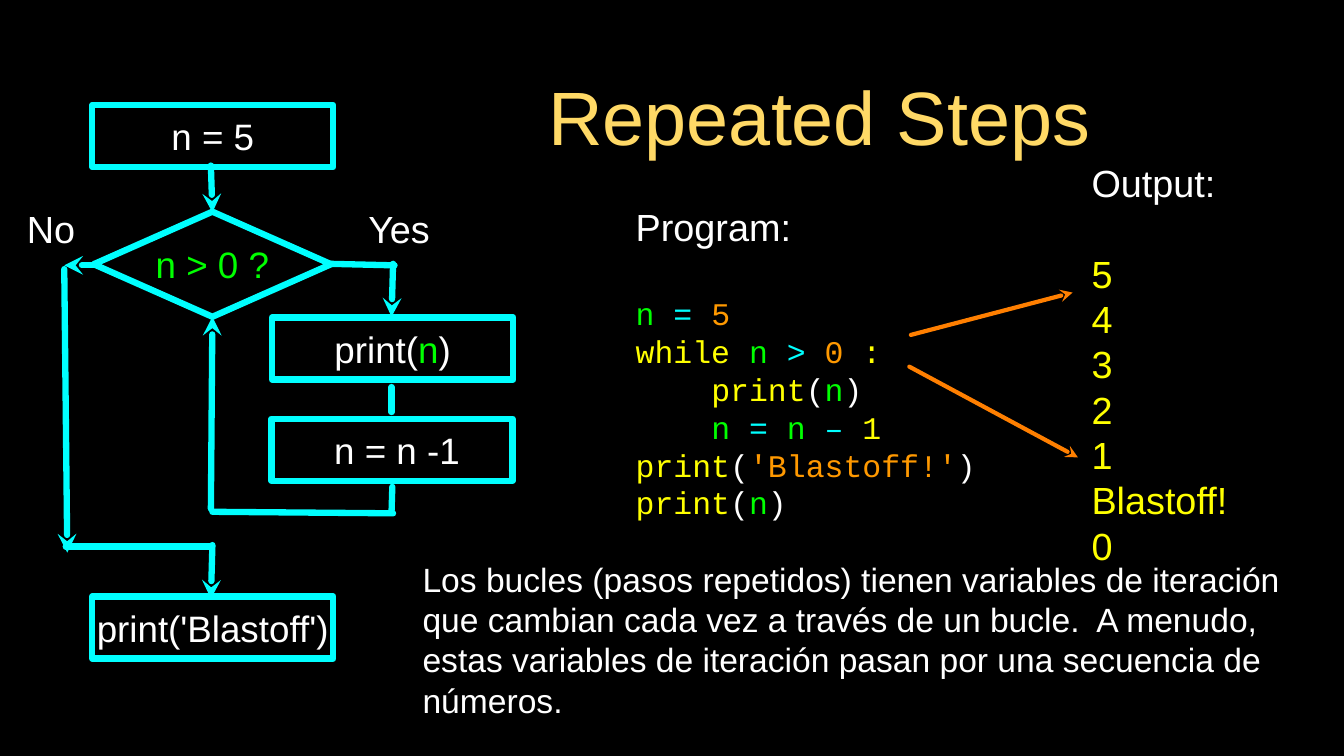
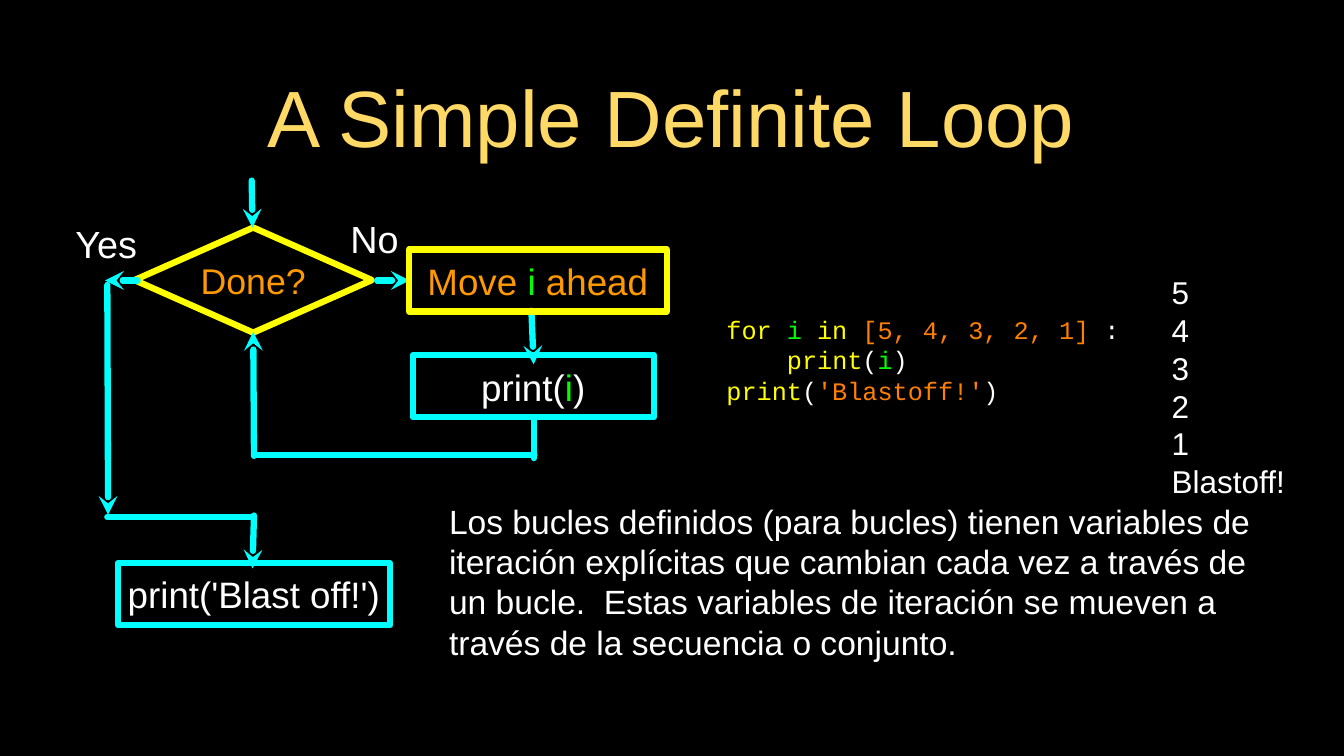
from dataclasses import dataclass

from lxml.etree import SubElement
from pptx import Presentation
from pptx.dml.color import RGBColor
from pptx.enum.shapes import MSO_CONNECTOR, MSO_SHAPE
from pptx.enum.text import MSO_ANCHOR, PP_ALIGN
from pptx.oxml.ns import qn
from pptx.util import Inches, Pt


@dataclass(frozen=True)
class Theme:
    """Colours, fonts and type sizes of the deck."""
    black: str = "000000"
    white: str = "FFFFFF"
    gold: str = "FFD966"
    cyan: str = "00FFFF"
    green: str = "00FF00"
    yellow: str = "FFFF00"
    amber: str = "FF9900"
    orange: str = "FF7F00"
    sans: str = "Arial"
    mono: str = "Courier New"
    label_size: int = 36
    node_size: int = 35
    body_size: int = 32
    leading: float = 1.2
    mono_advance: float = 0.6
    flow_width: int = 6
    pointer_width: int = 4


THEME = Theme()
NODE_WIDTH, NODE_HEIGHT = 3.19, 0.82
DIAMOND_WIDTH, DIAMOND_HEIGHT = 3.14, 1.39


class Painter:
    """Draws elements on the current page in the style of the theme."""

    def __init__(self, deck, theme):
        """Keep the deck and the theme."""
        self.deck, self.theme, self.page = deck, theme, None

    def new_page(self, title, left, width, size):
        """Start a black page with its gold title."""
        self.page = self.deck.slides.add_slide(self.deck.slide_layouts[6])
        fill = self.page.background.fill
        fill.solid()
        fill.fore_color.rgb = RGBColor.from_string(self.theme.black)
        self.text(left, 0.89, width, 1.28, [[(title, self.theme.gold)]], size,
                  centred=True)

    def set_lines(self, shape, lines, size, font=None, centred=False, spaced=False):
        """Fill a shape with lines, each a list of (text, colour) spans."""
        frame = shape.text_frame
        frame.margin_left = frame.margin_right = 0
        frame.margin_top = frame.margin_bottom = 0
        frame.vertical_anchor = MSO_ANCHOR.MIDDLE
        for index, line in enumerate(lines):
            para = frame.add_paragraph() if index else frame.paragraphs[0]
            para.alignment = PP_ALIGN.CENTER if centred else PP_ALIGN.LEFT
            if spaced:
                para.line_spacing = Pt(size * self.theme.leading)
            for words, colour in line:
                span = para.add_run()
                span.text = words
                span.font.size = Pt(size)
                span.font.name = font or self.theme.sans
                span.font.color.rgb = RGBColor.from_string(colour)
        return frame

    def text(self, left, top, width, height, lines, size, **style):
        """Add a wrapping text box and return its text frame."""
        box = self.page.shapes.add_textbox(
            Inches(left), Inches(top), Inches(width), Inches(height))
        box.text_frame.word_wrap = True
        return self.set_lines(box, lines, size, **style)

    def label(self, left, top, words, width):
        """Add a branch label such as Yes or No."""
        self.text(left, top, width, 0.68, [[(words, self.theme.white)]],
                  self.theme.label_size, centred=True)

    def body(self, left, top, width, words):
        """Add the explanation at the foot of the page."""
        frame = self.text(left, top, width, 2.25, [[(words, self.theme.white)]],
                          self.theme.body_size, spaced=True)
        frame.vertical_anchor = MSO_ANCHOR.TOP

    def code(self, left, top, width, height, lines, size, indented, heading=False):
        """Add a program listing; indented holds the numbers of inner lines."""
        frame = self.text(left, top, width, height, lines, size,
                          font=self.theme.mono, spaced=True)
        for number in indented:
            indent = Pt(4 * self.theme.mono_advance * size)
            properties = frame.paragraphs[number]._p.get_or_add_pPr()
            properties.set("marL", str(int(indent)))
            properties.set("indent", "0")
        if heading:
            self.head(frame.paragraphs[0])

    def head(self, para):
        """Style the first line of a list as a heading with a gap below."""
        size = self.theme.label_size
        para.line_spacing = para.space_after = Pt(size * self.theme.leading)
        for span in para.runs:
            span.font.size = Pt(size)
            span.font.name = self.theme.sans

    def outline(self, line, colour, width):
        """Give a line its colour, width and round ends."""
        line.color.rgb = RGBColor.from_string(colour)
        line.width = Pt(width)
        stroke = line._get_or_add_ln()
        stroke.set("cap", "rnd")
        SubElement(stroke, qn("a:round"))
        return stroke

    def node(self, left, top, spans, width=NODE_WIDTH, height=NODE_HEIGHT,
             kind=MSO_SHAPE.RECTANGLE, colour=None, size=None):
        """Add an outlined flowchart node."""
        shape = self.page.shapes.add_shape(
            kind, Inches(left), Inches(top), Inches(width), Inches(height))
        shape.shadow.inherit = False
        shape.fill.background()
        self.outline(shape.line, colour or self.theme.cyan, self.theme.flow_width)
        shape.text_frame.word_wrap = False
        self.set_lines(shape, [spans], size or self.theme.node_size, centred=True)

    def decision(self, left, top, spans, **style):
        """Add a decision diamond."""
        self.node(left, top, spans, DIAMOND_WIDTH, DIAMOND_HEIGHT,
                  MSO_SHAPE.DIAMOND, **style)

    def line(self, start, end, arrow=False, colour=None, width=None):
        """Join two points, with an arrowhead at the end if asked."""
        points = [Inches(value) for value in (*start, *end)]
        link = self.page.shapes.add_connector(MSO_CONNECTOR.STRAIGHT, *points)
        stroke = self.outline(link.line, colour or self.theme.cyan,
                              width or self.theme.flow_width)
        if arrow:
            SubElement(stroke, qn("a:tailEnd"), type="stealth")
        SubElement(link._element.spPr, qn("a:effectLst"))

    def flow(self, arrows, lines):
        """Draw the arrows and plain lines of a flowchart."""
        for start, end in arrows:
            self.line(start, end, arrow=True)
        for start, end in lines:
            self.line(start, end)


def call(argument, colour, name_colour=THEME.yellow):
    """Return the spans of a print call with a coloured argument."""
    return [("print", name_colour), ("(", THEME.white),
            (argument, colour), (")", THEME.white)]


def column(words, colour):
    """Return one single-span line for each word."""
    return [[(word, colour)] for word in words]


def repeated_steps(painter):
    """Build the page on the while loop."""
    theme = painter.theme
    painter.new_page("Repeated Steps", 5.18, 11.32, 72)
    variable = ("n ", theme.green)
    equals = ("= ", theme.cyan)
    painter.code(8.41, 2.37, 4.63, 4.85, [
        [("Program:", theme.white)],
        [variable, equals, ("5", theme.amber)],
        [("while ", theme.yellow), variable, ("> ", theme.cyan),
         ("0", theme.amber), (" :", theme.yellow)],
        call("n", theme.green),
        [variable, equals, variable, ("–", theme.cyan), (" 1", theme.yellow)],
        call("'Blastoff!'", theme.amber),
        call("n", theme.green),
    ], 30, indented=(3, 4), heading=True)
    output = painter.text(
        14.44, 2.19, 1.89, 5.24,
        [[("Output:", theme.white)]]
        + column(["5", "4", "3", "2", "1", "Blastoff!", "0"], theme.yellow),
        theme.label_size, spaced=True)
    painter.head(output.paragraphs[0])

    painter.flow(
        arrows=[((2.79, 2.19), (2.81, 2.81)),
                ((2.79, 6.73), (2.81, 4.19)),
                ((5.2, 3.49), (5.18, 4.19)),
                ((1.29, 3.51), (0.85, 3.51)),
                ((0.85, 3.56), (0.89, 7.31)),
                ((2.81, 7.21), (2.79, 7.92))],
        lines=[((4.37, 3.49), (5.22, 3.51)),
               ((5.18, 5.12), (5.18, 5.45)),
               ((5.19, 6.44), (5.18, 6.77)),
               ((2.81, 6.77), (5.2, 6.79)),
               ((0.87, 7.23), (2.79, 7.23))])
    for start, end in [((12.05, 4.43), (14.19, 3.87)),
                       ((12.03, 4.85), (14.26, 6.05))]:
        painter.line(start, end, True, theme.orange, theme.pointer_width)

    painter.node(1.22, 1.39, [("n = 5", theme.white)])
    painter.decision(1.24, 2.8, [("n > 0 ?", theme.green)])
    painter.node(3.6, 4.2, call("n", theme.green, theme.white))
    painter.node(3.59, 5.54, [(" n = n -1", theme.white)])
    painter.node(1.22, 7.89, [("print('Blastoff')", theme.white)])
    painter.label(0.28, 2.68, "No", 0.79)
    painter.label(4.78, 2.68, "Yes", 1)
    painter.body(5.59, 7.39, 11.61,
                 "Los bucles (pasos repetidos) tienen variables de iteración que "
                 "cambian cada vez a través de un bucle.  A menudo, estas variables "
                 "de iteración pasan por una secuencia de números.")


def definite_loop(painter):
    """Build the page on the for loop."""
    theme = painter.theme
    painter.new_page("A Simple Definite Loop", 1.26, 15.24, 76)
    painter.code(9.61, 3.85, 5.58, 1.82, [
        [("for ", theme.yellow), ("i ", theme.green), ("in ", theme.yellow),
         ("[5, 4, 3, 2, 1] ", theme.orange), (":", theme.white)],
        call("i", theme.green),
        call("'Blastoff!'", theme.orange),
    ], 24, indented=(1,))
    painter.text(15.5, 3.35, 1.82, 3.53,
                 column(["5", "4", "3", "2", "1", "Blastoff!"], theme.white),
                 30, spaced=True)

    painter.decision(1.78, 3.01, [("Done?", theme.amber)],
                     colour=theme.yellow, size=34)
    painter.flow(
        arrows=[((3.33, 2.39), (3.34, 3.01)),
                ((3.36, 6.03), (3.35, 4.39)),
                ((7.03, 4.11), (7.06, 4.82)),
                ((1.82, 3.71), (1.39, 3.71)),
                ((4.99, 3.71), (5.42, 3.71)),
                ((1.42, 3.77), (1.43, 6.81)),
                ((3.36, 6.82), (3.34, 7.52))],
        lines=[((7.06, 5.52), (7.06, 6.06)),
               ((3.36, 6.02), (7.07, 6.02)),
               ((1.42, 6.84), (3.34, 6.84))])
    painter.node(5.41, 3.3, [("Move ", theme.amber), ("i", theme.green),
                             (" ahead", theme.amber)],
                 width=3.41, colour=theme.yellow)
    painter.node(5.46, 4.7, call("i", theme.green, theme.white))
    painter.node(1.56, 7.45, [("print('Blast off!')", theme.white)], width=3.6)
    painter.label(0.76, 2.88, "Yes", 1.29)
    painter.label(4.56, 2.81, "No", 0.79)
    painter.body(5.94, 6.62, 11.08,
                 "Los bucles definidos (para bucles) tienen variables de iteración "
                 "explícitas que cambian cada vez a través de un bucle.  Estas "
                 "variables de iteración se mueven a través de la secuencia o "
                 "conjunto.")


def main():
    """Build and save the deck."""
    deck = Presentation()
    deck.slide_width, deck.slide_height = Inches(17.78), Inches(10)
    painter = Painter(deck, THEME)
    repeated_steps(painter)
    definite_loop(painter)
    deck.save("out.pptx")


main()
